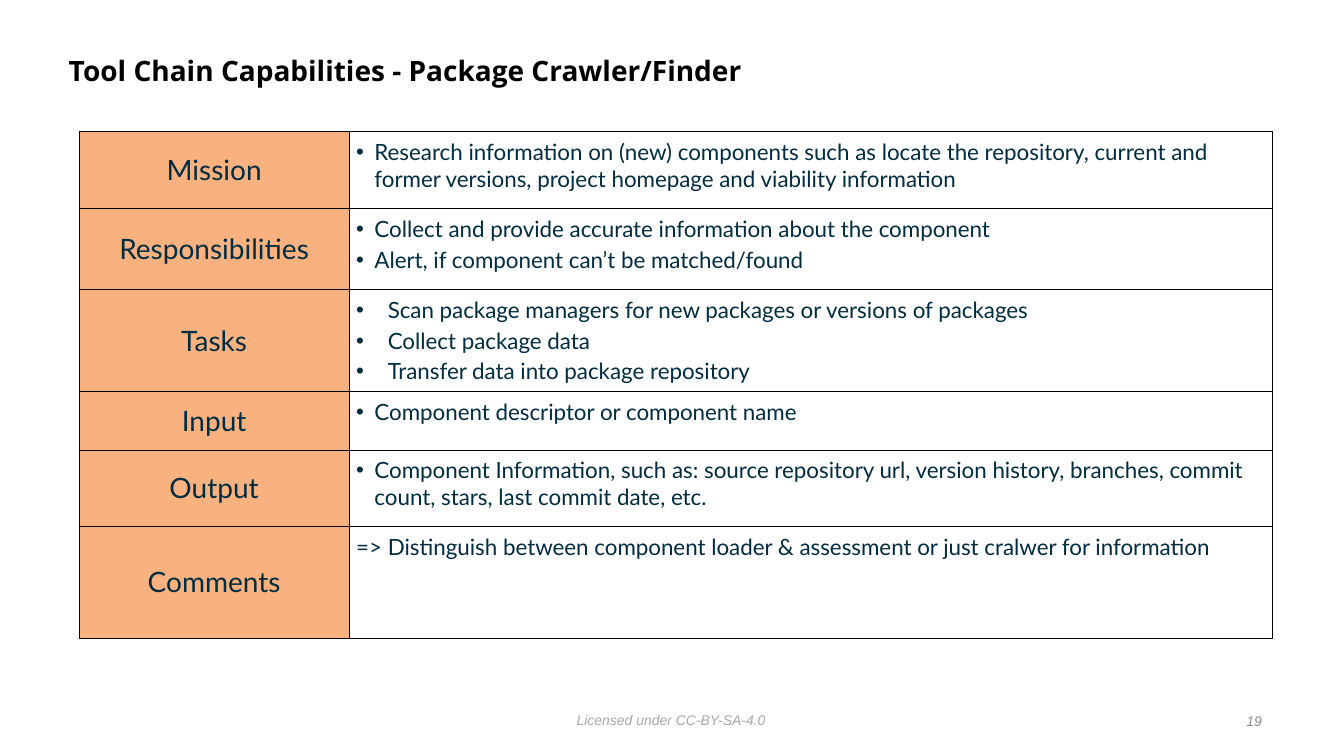
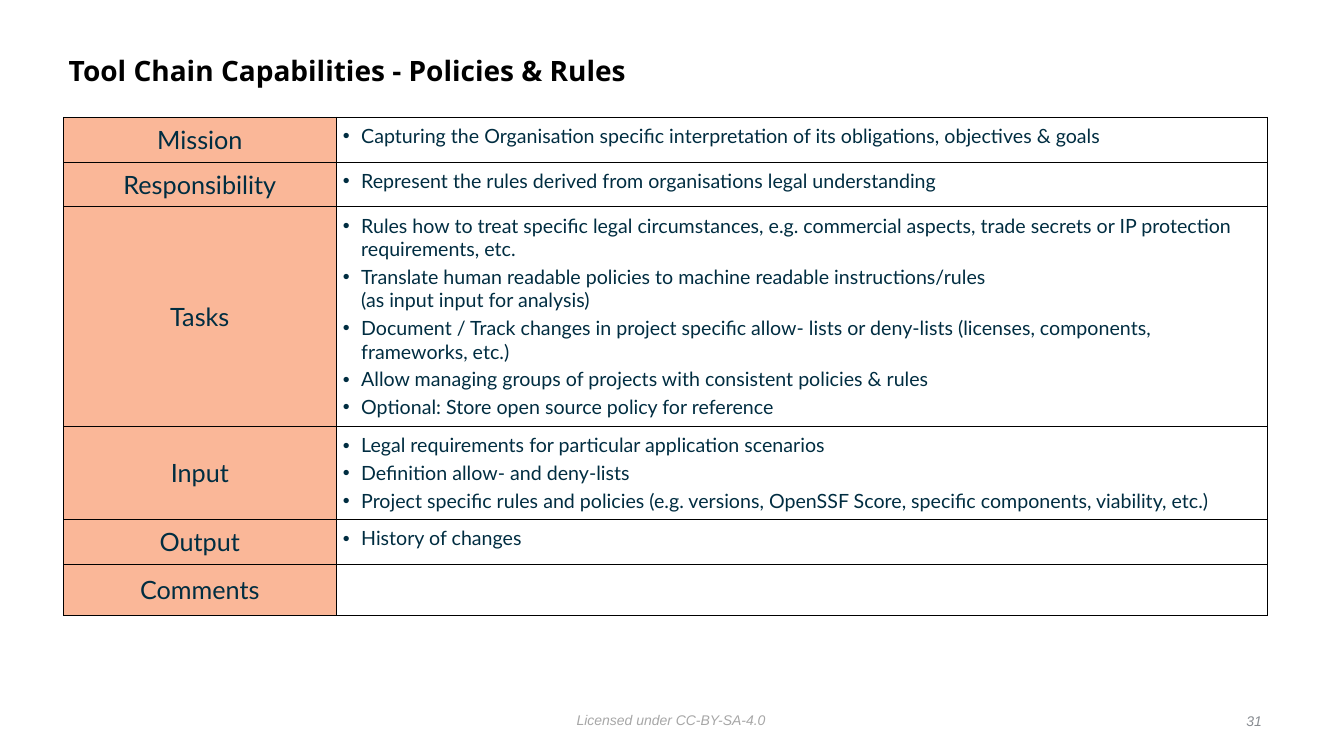
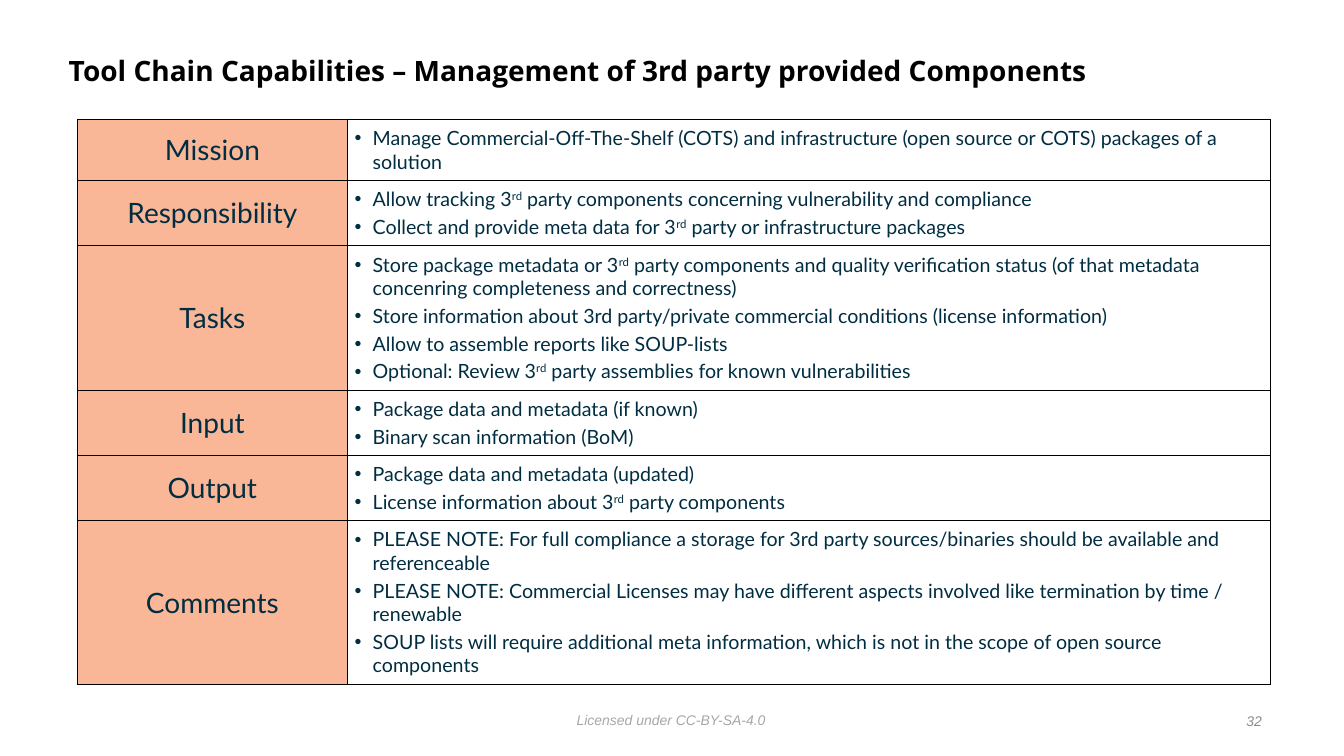
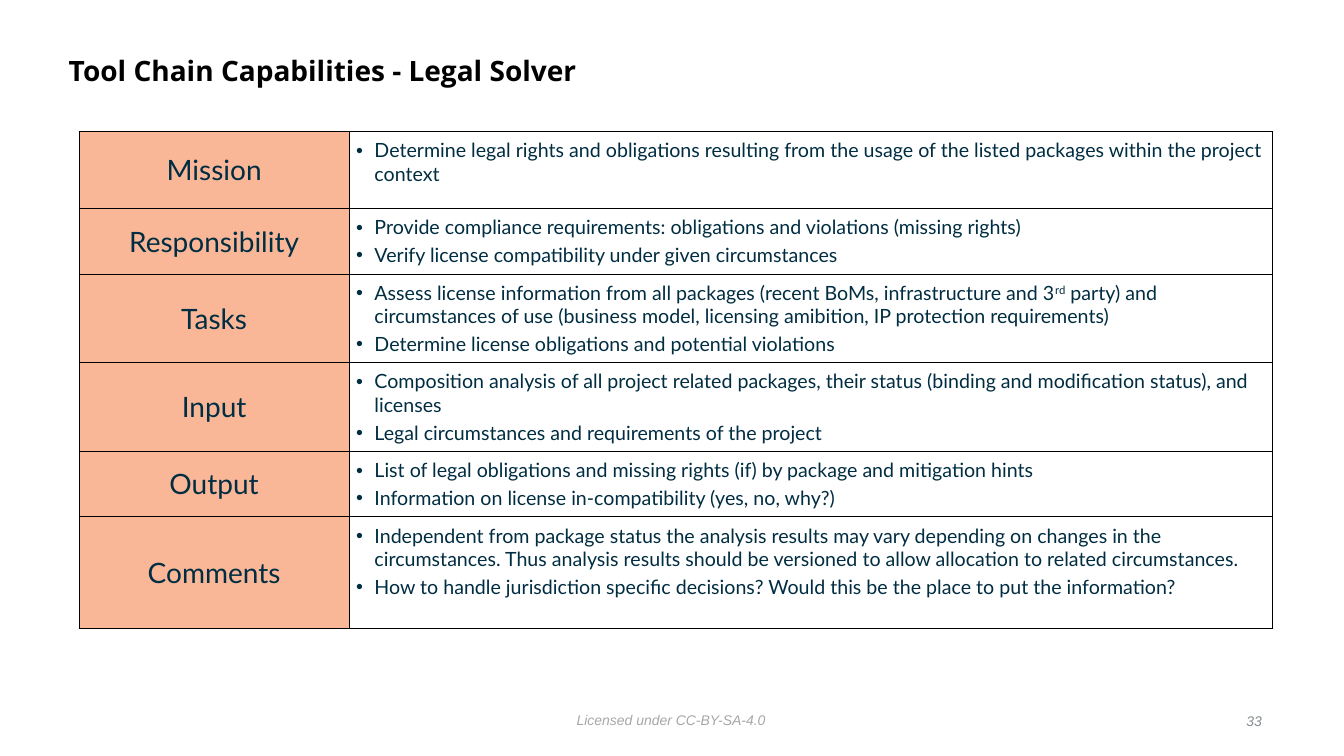
from lxml import etree
from pptx import Presentation
from pptx.dml.color import RGBColor
from pptx.enum import text as t
from pptx.oxml import ns
from pptx.util import Pt

INK, BLACK, FOOTER_GREY, PAGE_GREY = "002D41", "000000", "A7A7A7", "888C91"
ORANGE, PEACH = "F66503", "FAB798"
BULLET_INDENT, WIDE_INDENT, PLAIN_INDENT = 13, 22.5, 5


def style(paragraph, name, size, color, bold=False, italic=False):
    font = paragraph.font
    font.name, font.size, font.bold, font.italic = name, Pt(size), bold, italic
    font.color.rgb = RGBColor.from_string(color)


def add_xml(parent, tag, **attributes):
    return etree.SubElement(parent, ns.qn(tag), attributes)


# Content: each row is label, height, indent, entries; ^ encloses superscript
capabilities = [
    dict(
        title="Tool Chain Capabilities - Package Crawler/Finder", page="19",
        left=56.5, top=94, columns=(193, 659.5), label_size=20, entry_size=16,
        label_fill=ORANGE, opacity=50,
        rows=[
            ("Mission", 55, BULLET_INDENT, [
                "Research information on (new) components such as locate the repository, "
                "current and former versions, project homepage and viability information"]),
            ("Responsibilities", 57.5, BULLET_INDENT, [
                "Collect and provide accurate information about the component",
                "Alert, if component can’t be matched/found"]),
            ("Tasks", 53, WIDE_INDENT, [
                "Scan package managers for new packages or versions of packages",
                "Collect package data",
                "Transfer data into package repository"]),
            ("Input", 41.5, BULLET_INDENT, ["Component descriptor or component name"]),
            ("Output", 54.5, BULLET_INDENT, [
                "Component Information, such as: source repository url, version history, "
                "branches, commit count, stars, last commit date, etc."]),
            ("Comments", 80, PLAIN_INDENT, [
                "=> Distinguish between component loader & assessment or just cralwer "
                "for information"]),
        ]),
    dict(
        title="Tool Chain Capabilities - Policies & Rules", page="31",
        left=45.5, top=83.75, columns=(194.5, 665), label_size=18, entry_size=14,
        label_fill=PEACH, opacity=100,
        rows=[
            ("Mission", 32, BULLET_INDENT, [
                "Capturing the Organisation specific interpretation of its obligations, "
                "objectives & goals"]),
            ("Responsibility", 32, BULLET_INDENT, [
                "Represent the rules derived from organisations legal understanding"]),
            ("Tasks", 157, BULLET_INDENT, [
                "Rules how to treat specific legal circumstances, e.g. commercial aspects, "
                "trade secrets or IP protection requirements, etc.",
                "Translate human readable policies to machine readable instructions/rules\n"
                "(as input input for analysis)",
                "Document / Track changes in project specific allow- lists or deny-lists "
                "(licenses, components, frameworks, etc.)",
                "Allow managing groups of projects with consistent policies & rules",
                "Optional: Store open source policy for reference"]),
            ("Input", 66, BULLET_INDENT, [
                "Legal requirements for particular application scenarios",
                "Definition allow- and deny-lists",
                "Project specific rules and policies (e.g. versions, OpenSSF Score, "
                "specific components, viability, etc.)"]),
            ("Output", 32, BULLET_INDENT, ["History of changes"]),
            ("Comments", 36.5, BULLET_INDENT, []),
        ]),
    dict(
        title="Tool Chain Capabilities – Management of 3rd party provided Components",
        page="32",
        left=55.25, top=85.25, columns=(193, 659.5), label_size=20, entry_size=14,
        label_fill=PEACH, opacity=100,
        rows=[
            ("Mission", 43, BULLET_INDENT, [
                "Manage Commercial-Off-The-Shelf (COTS) and infrastructure (open source "
                "or COTS) packages of a solution"]),
            ("Responsibility", 46, BULLET_INDENT, [
                "Allow tracking 3^rd^ party components concerning vulnerability and compliance",
                "Collect and provide meta data for 3^rd^ party or infrastructure packages"]),
            ("Tasks", 102, BULLET_INDENT, [
                "Store package metadata or 3^rd^ party components and quality verification "
                "status (of that metadata concenring completeness and correctness)",
                "Store information about 3rd party/private commercial conditions "
                "(license information)",
                "Allow to assemble reports like SOUP-lists",
                "Optional: Review 3^rd^ party assemblies for known vulnerabilities"]),
            ("Input", 46, BULLET_INDENT, [
                "Package data and metadata (if known)",
                "Binary scan information (BoM)"]),
            ("Output", 46, BULLET_INDENT, [
                "Package data and metadata (updated)",
                "License information about 3^rd^ party components"]),
            ("Comments", 116, BULLET_INDENT, [
                "PLEASE NOTE: For full compliance a storage for 3rd party sources/binaries "
                "should be available and referenceable",
                "PLEASE NOTE: Commercial Licenses may have different aspects involved like "
                "termination by time / renewable",
                "SOUP lists will require additional meta information, which is not in the "
                "scope of open source components"]),
        ]),
    dict(
        title="Tool Chain Capabilities - Legal Solver", page="33",
        left=56.5, top=94, columns=(193, 659.5), label_size=20, entry_size=14,
        label_fill=PEACH, opacity=100,
        rows=[
            ("Mission", 55, BULLET_INDENT, [
                "Determine legal rights and obligations resulting from the usage of the "
                "listed packages within the project context"]),
            ("Responsibility", 46, BULLET_INDENT, [
                "Provide compliance requirements: obligations and violations (missing rights)",
                "Verify license compatibility under given circumstances"]),
            ("Tasks", 63, BULLET_INDENT, [
                "Assess license information from all packages (recent BoMs, infrastructure "
                "and 3^rd^ party) and circumstances of use (business model, licensing "
                "amibition, IP protection requirements)",
                "Determine license obligations and potential violations"]),
            ("Input", 63, BULLET_INDENT, [
                "Composition analysis of all project related packages, their status "
                "(binding and modification status), and licenses",
                "Legal circumstances and requirements of the project"]),
            ("Output", 46, BULLET_INDENT, [
                "List of legal obligations and missing rights (if) by package and "
                "mitigation hints",
                "Information on license in-compatibility (yes, no, why?)"]),
            ("Comments", 80, BULLET_INDENT, [
                "Independent from package status the analysis results may vary depending on "
                "changes in the circumstances. Thus analysis results should be versioned to "
                "allow allocation to related circumstances.",
                "How to handle jurisdiction specific decisions? Would this be the place to "
                "put the information?"]),
        ]),
]

deck = Presentation()
deck.slide_width, deck.slide_height = Pt(960), Pt(540)

for capability in capabilities:
    slide = deck.slides.add_slide(deck.slide_layouts[5])

    # Title
    title = slide.shapes.title
    title.left, title.top, title.width, title.height = Pt(45.5), Pt(28), Pt(774), Pt(47)
    frame = title.text_frame
    frame.margin_left = frame.margin_right = frame.margin_top = frame.margin_bottom = Pt(3.6)
    frame.vertical_anchor = t.MSO_ANCHOR.MIDDLE
    frame.auto_size = t.MSO_AUTO_SIZE.NONE
    frame.text = capability["title"]
    heading = frame.paragraphs[0]
    heading.alignment, heading.line_spacing = t.PP_ALIGN.LEFT, 0.9
    style(heading, "Open Sans", 20, BLACK, bold=True)

    # Capability table
    rows, columns = capability["rows"], capability["columns"]
    grid = slide.shapes.add_table(
        len(rows), 2, Pt(capability["left"]), Pt(capability["top"]),
        Pt(sum(columns)), Pt(sum(row[1] for row in rows))).table
    grid.first_row = grid.horz_banding = False
    for column, width in zip(grid.columns, columns):
        column.width = Pt(width)

    # Cell borders
    for cell in grid.iter_cells():
        properties = cell._tc.get_or_add_tcPr()
        for side in ("a:lnL", "a:lnR", "a:lnT", "a:lnB"):
            border = add_xml(properties, side, w=str(Pt(0.5)))
            add_xml(add_xml(border, "a:solidFill"), "a:srgbClr", val=BLACK)

    for index, (label, height, indent, entries) in enumerate(rows):
        grid.rows[index].height = Pt(height)
        label_cell, entry_cell = grid.cell(index, 0), grid.cell(index, 1)
        for cell, margin in ((label_cell, 0), (entry_cell, 5)):
            cell.margin_left = cell.margin_right = Pt(margin)
            cell.margin_top = cell.margin_bottom = Pt(margin)

        # Row label
        label_cell.vertical_anchor = t.MSO_ANCHOR.MIDDLE
        label_cell.fill.solid()
        label_cell.fill.fore_color.rgb = RGBColor.from_string(capability["label_fill"])
        if capability["opacity"] < 100:
            tint = label_cell._tc.tcPr.find(ns.qn("a:solidFill"))[0]
            add_xml(tint, "a:alpha", val=str(capability["opacity"] * 1000))
        label_cell.text = label
        name = label_cell.text_frame.paragraphs[0]
        name.alignment = t.PP_ALIGN.CENTER
        style(name, "Lato", capability["label_size"], INK)

        # Row entries
        entry_cell.fill.background()
        body = entry_cell.text_frame
        for number, entry in enumerate(entries):
            item = body.add_paragraph() if number else body.paragraphs[0]
            for line_number, line in enumerate(entry.split("\n")):
                if line_number:
                    item.add_line_break()
                for part_number, part in enumerate(line.split("^")):
                    run = item.add_run()
                    run.text = part
                    if part_number % 2:
                        run._r.get_or_add_rPr().set("baseline", "30000")
            layout = item._p.get_or_add_pPr()
            layout.set("marL", str(Pt(indent)))
            layout.set("indent", str(-Pt(indent)))
            if indent != PLAIN_INDENT:
                add_xml(layout, "a:buFont", typeface="Arial")
                add_xml(layout, "a:buChar", char="•")
            if number:
                item.space_before = Pt(3)
            style(item, "Lato", capability["entry_size"], INK)

    # License line and page number
    for caption, left, width, color, align, anchor in (
            ("Licensed under CC-BY-SA-4.0", 408.25, 143.5, FOOTER_GREY,
             t.PP_ALIGN.LEFT, t.MSO_ANCHOR.TOP),
            (capability["page"], 885.5, 19.5, PAGE_GREY,
             t.PP_ALIGN.RIGHT, t.MSO_ANCHOR.MIDDLE)):
        top = 504.75 if align == t.PP_ALIGN.LEFT else 506
        frame = slide.shapes.add_textbox(Pt(left), Pt(top), Pt(width), Pt(18)).text_frame
        frame.margin_left = frame.margin_right = Pt(3.6)
        frame.margin_top = frame.margin_bottom = Pt(3.6)
        frame.word_wrap, frame.vertical_anchor = False, anchor
        frame.auto_size = t.MSO_AUTO_SIZE.SHAPE_TO_FIT_TEXT
        frame.text = caption
        frame.paragraphs[0].alignment = align
        style(frame.paragraphs[0], "Arial", 10, color, italic=True)

deck.save("out.pptx")
